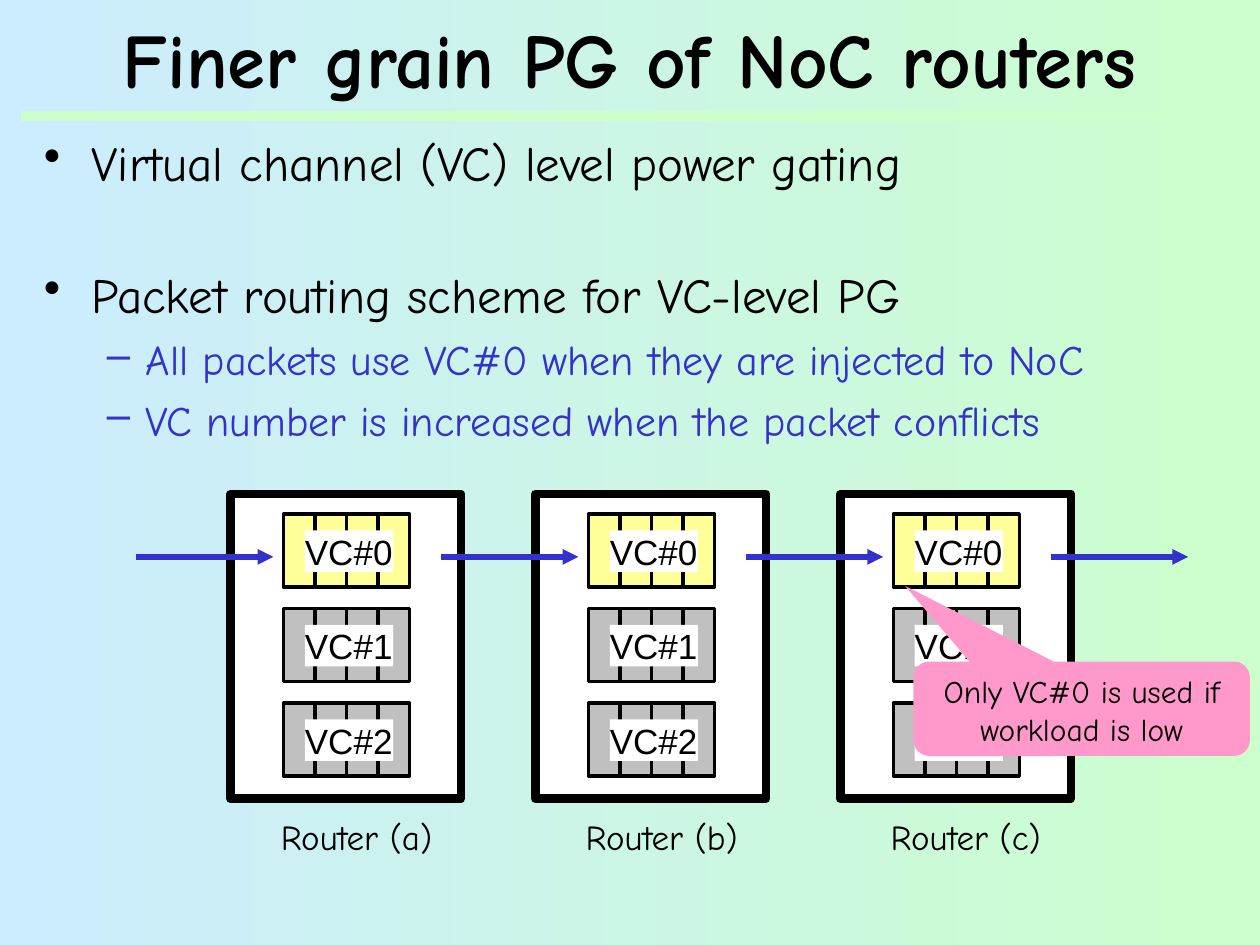
import pptx
import pptx.dml.color
import pptx.enum.shapes
import pptx.enum.text
import pptx.oxml
import pptx.oxml.ns
import pptx.util

Inches, Pt = pptx.util.Inches, pptx.util.Pt
SHAPE = pptx.enum.shapes.MSO_SHAPE
ALIGN = pptx.enum.text.PP_ALIGN
ANCHOR = pptx.enum.text.MSO_ANCHOR
BLUE, YELLOW, GRAY = "3333CC", "FFFF99", "C0C0C0"


def rgb(value):
    return pptx.dml.color.RGBColor.from_string(value)


def add_run(p, text, size, font="Comic Neue", color="000000", bold=False):
    r = p.add_run()
    r.text = text
    for name, value in {"name": font, "size": Pt(size), "bold": bold}.items():
        setattr(r.font, name, value)
    r.font.color.rgb = rgb(color)


prs = pptx.Presentation()
prs.slide_width, prs.slide_height = Inches(10), Inches(7.5)
s = prs.slides.add_slide(prs.slide_layouts[6])

# Background: light blue on the left to light green on the right
fill = s.background.fill
fill.gradient()
fill.gradient_angle = 0
for stop, color in zip(fill.gradient_stops, ("CCECFF", "CCFFCC")):
    stop.color.rgb = rgb(color)

# Title
sp = s.shapes.add_textbox(Inches(0.25), Inches(0.08), Inches(9.5), Inches(0.75))
tf = sp.text_frame
tf.word_wrap = True
tf.vertical_anchor = ANCHOR.MIDDLE
tf.paragraphs[0].alignment = ALIGN.CENTER
add_run(tf.paragraphs[0], "Finer grain PG of NoC routers", 44, bold=True)

# Bullets: text, level, space before
bullets = [
    ("Virtual channel (VC) level power gating", 0, 7),
    ("Packet routing scheme for VC-level PG", 0, 42),
    ("All packets use VC#0 when they are injected to NoC", 1, 6),
    ("VC number is increased when the packet conflicts", 1, 6),
]
# Level format: size, colour, bullet, left margin, hanging indent
levels = [(28, "000000", "•", 0.38, -0.38), (24, BLUE, "–", 0.81, -0.31)]
sp = s.shapes.add_textbox(Inches(0.25), Inches(1), Inches(9.5), Inches(2.75))
tf = sp.text_frame
tf.word_wrap = True
for i, (text, level, before) in enumerate(bullets):
    size, color, mark, margin, indent = levels[level]
    p = tf.add_paragraph() if i else tf.paragraphs[0]
    p.level = level
    p.space_before = Pt(before)
    add_run(p, text, size, color=color)
    pPr = p._p.get_or_add_pPr()
    pPr.set("marL", str(Inches(margin)))
    pPr.set("indent", str(Inches(indent)))
    bullet = pptx.oxml.ns.qn("a:buChar")
    pPr.append(pPr.makeelement(bullet, {"char": mark}))

# Routers, each with three virtual channels of four buffer cells
pitch = 2.42
for i, letter in enumerate("abc"):
    x = 1.83 + pitch * i
    boxes = [(x, 3.92, 1.83, 2.42, "FFFFFF", 5)]
    labels = [(f"Router ({letter})", x + 0.3, 6.42, 1.41, 0.44, "Comic Neue")]
    for vc, color in enumerate((YELLOW, GRAY, GRAY)):
        y = 4.08 + 0.75 * vc
        boxes += [(x + 0.42 + 0.25 * cell, y, 0.25, 0.58, color, 2) for cell in range(4)]
        labels.append((f"VC#{vc}", x + 0.59, y + 0.13, 0.7, 0.33, "Arial"))

    for left, top, width, height, color, weight in boxes:
        sp = s.shapes.add_shape(SHAPE.RECTANGLE, Inches(left), Inches(top), Inches(width), Inches(height))
        sp.shadow.inherit = False
        sp.fill.solid()
        sp.fill.fore_color.rgb = rgb(color)
        sp.line.color.rgb = rgb("000000")
        sp.line.width = Pt(weight)

    for text, left, top, width, height, font in labels:
        sp = s.shapes.add_textbox(Inches(left), Inches(top), Inches(width), Inches(height))
        tf = sp.text_frame
        tf.word_wrap = False
        if font == "Arial":
            sp.fill.solid()
            sp.fill.fore_color.rgb = rgb("FFFFFF")
            for side in ("left", "top", "right", "bottom"):
                setattr(tf, f"margin_{side}", 0)
        add_run(tf.paragraphs[0], text, 20, font)

# Title rule and packet arrows: start x, end x, y, colour, weight, arrowhead
lines = [(0.17, 9.92, 0.92, "CCFFCC", 6, False)]
lines += [(1.08 + pitch * i, 2.17 + pitch * i, 4.42, BLUE, 3, True) for i in range(4)]
for x1, x2, y, color, weight, arrow in lines:
    sp = s.shapes.add_connector(
        pptx.enum.shapes.MSO_CONNECTOR.STRAIGHT, Inches(x1), Inches(y), Inches(x2), Inches(y))
    sp.line.color.rgb = rgb(color)
    sp.line.width = Pt(weight)
    spPr = sp._element.spPr
    spPr.append(spPr.makeelement(pptx.oxml.ns.qn("a:effectLst"), {}))
    if arrow:
        ln = sp.line._get_or_add_ln()
        ln.append(ln.makeelement(pptx.oxml.ns.qn("a:tailEnd"), {"type": "triangle"}))

# Callout pointing at VC#0 of the last router
sp = s.shapes.add_shape(
    SHAPE.ROUNDED_RECTANGULAR_CALLOUT, Inches(7.25), Inches(5.25), Inches(2.67), Inches(0.75))
for i, value in enumerate((-0.525, -1.3, 0.167)):
    sp.adjustments[i] = value
sp.shadow.inherit = False
sp.fill.solid()
sp.fill.fore_color.rgb = rgb("FF99CC")
sp.line.fill.background()
tf = sp.text_frame
tf.word_wrap = True
tf.vertical_anchor = ANCHOR.TOP
tf.paragraphs[0].alignment = ALIGN.CENTER
add_run(tf.paragraphs[0], "Only VC#0 is used if workload is low", 18)

prs.save("out.pptx")
